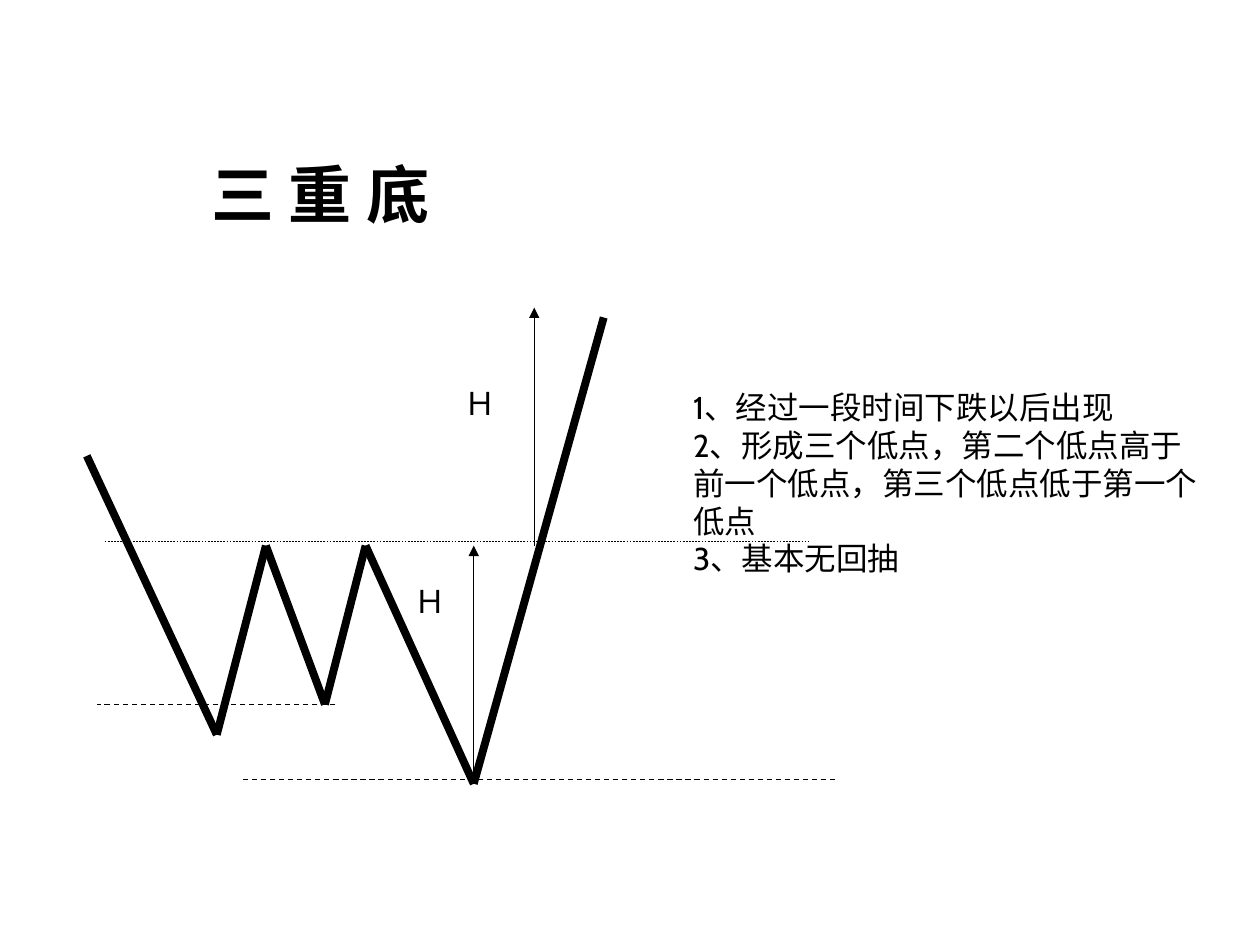
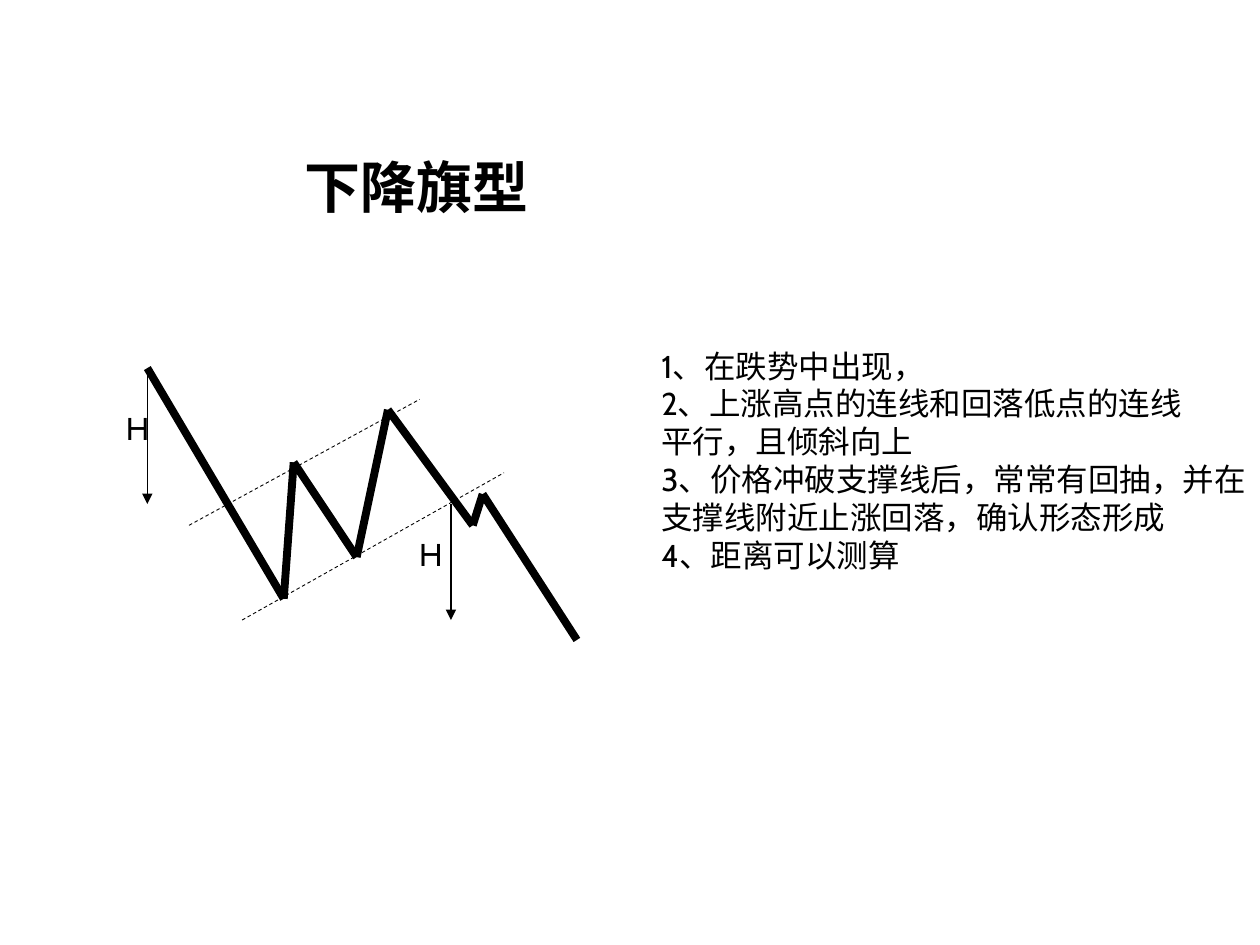
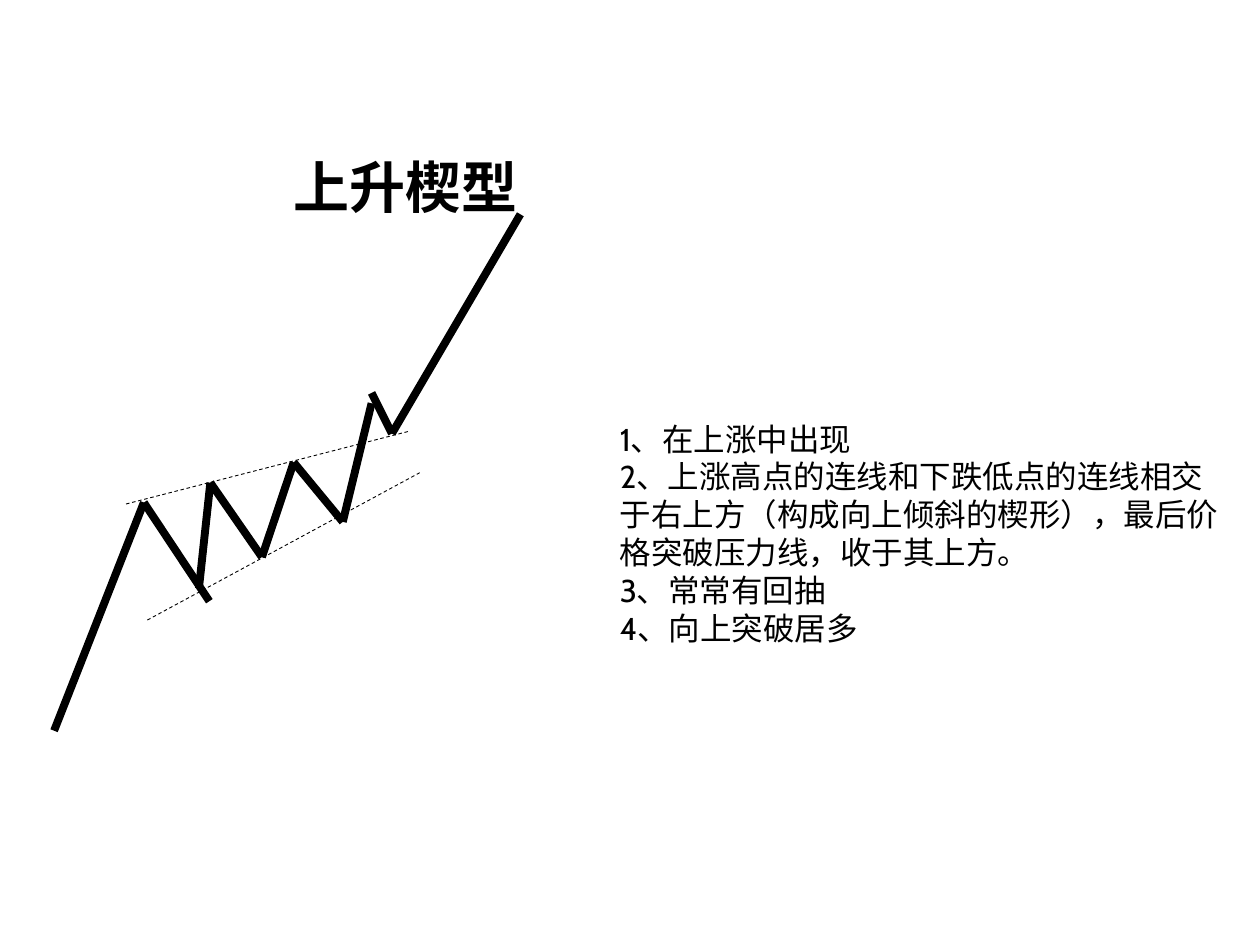
from itertools import pairwise

from lxml.etree import SubElement
from pptx import Presentation
from pptx.dml.color import RGBColor
from pptx.enum.dml import MSO_LINE
from pptx.enum.shapes import MSO_CONNECTOR
from pptx.enum.text import MSO_ANCHOR, MSO_AUTO_SIZE, PP_ALIGN
from pptx.oxml.ns import qn
from pptx.util import Cm, Pt

COLORS = {"ink": "000000", "paper": "FFFFFF"}
FONT = "Cabin"
THICK = 4.5


def color(name):
    return RGBColor.from_string(COLORS[name])


def place(shape, left, top, width, height):
    shape.left, shape.top = Cm(left), Cm(top)
    shape.width, shape.height = Cm(width), Cm(height)


def write(shape, text, size, bold=False, wrap=False):
    frame = shape.text_frame
    frame.text = text
    frame.word_wrap = wrap
    frame.auto_size = MSO_AUTO_SIZE.NONE
    frame.vertical_anchor = MSO_ANCHOR.TOP
    for para in frame.paragraphs:
        para.alignment = PP_ALIGN.LEFT
        para.space_before = Pt(0)
        for run in para.runs:
            run.font.name = FONT
            run.font.size = Pt(size)
            run.font.bold = bold
            run.font.color.rgb = color("ink")


def title(slide, text, box, size=32):
    shape = slide.shapes.title
    place(shape, *box)
    write(shape, text, size, bold=True)


def notes(slide, lines, box):
    shape = slide.placeholders[1]
    place(shape, *box)
    write(shape, "\n".join(lines), 18, wrap=True)
    for para in shape.text_frame.paragraphs:
        props = para._p.get_or_add_pPr()
        props.set("marL", "0")
        props.set("indent", "0")
        SubElement(props, qn("a:buNone"))


def label(slide, text, left, top, width):
    shape = slide.shapes.add_textbox(Cm(left), Cm(top), Cm(width), Cm(1.02))
    write(shape, text, 18)


def line(slide, start, end, width):
    ends = [Cm(value) for value in (*start, *end)]
    link = slide.shapes.add_connector(MSO_CONNECTOR.STRAIGHT, *ends)
    link.line.color.rgb = color("ink")
    link.line.width = Pt(width)
    SubElement(link._element.spPr, qn("a:effectLst"))
    return link


def trend(slide, points):
    for start, end in pairwise(points):
        line(slide, start, end, THICK)


def dash(slide, start, end, width=0.5):
    line(slide, start, end, width).line.dash_style = MSO_LINE.DASH


def arrow(slide, left, start, end):
    link = line(slide, (left, start), (left, end), 0.75)
    SubElement(link.line._get_or_add_ln(), qn("a:tailEnd"), type="triangle")


def add(deck):
    slide = deck.slides.add_slide(deck.slide_layouts[1])
    slide.background.fill.solid()
    slide.background.fill.fore_color.rgb = color("paper")
    return slide


def triple(deck):
    slide = add(deck)
    neck, low = 11, 15.8
    trend(slide, [(1.75, 9.19), (4.37, 14.81), (5.36, neck), (6.55, 14.2),
                  (7.37, neck), (9.55, low), (12.17, 6.4)])
    dash(slide, (2.11, 10.92), (16.31, 10.92), 0.25)
    dash(slide, (6.76, 14.2), (1.96, 14.2), 0.75)
    dash(slide, (4.9, 15.72), (16.89, 15.72), 0.75)
    arrow(slide, 10.77, neck, 6.2)
    arrow(slide, 9.55, low, neck)
    label(slide, "Ｈ", 8.1, 11.61, 1.14)
    label(slide, "Ｈ", 9.12, 7.62, 1.14)
    title(slide, "三 重 底", (4.01, 3, 5.08, 1.78), 36)
    notes(slide, [
        "1、经过一段时间下跌以后出现",
        "2、形成三个低点，第二个低点高于",
        "前一个低点，第三个低点低于第一个",
        "低点",
        "3、基本无回抽",
    ], (13.72, 7.7, 10.9, 4.83))


def flag(deck):
    slide = add(deck)
    title(slide, "下降旗型", (5.89, 2.95, 5.05, 1.6))
    trend(slide, [(2.97, 7.42), (5.72, 12.07), (5.92, 9.32), (7.19, 11.23),
                  (7.82, 8.26), (9.53, 10.59), (9.73, 9.96), (11.63, 12.9)])
    dash(slide, (3.81, 10.59), (8.46, 8.05))
    dash(slide, (4.88, 12.5), (10.16, 9.53))
    arrow(slide, 2.97, 7.42, 10.16)
    arrow(slide, 9.09, 10.16, 12.5)
    label(slide, "H", 2.29, 8.13, 0.94)
    label(slide, "H", 8.2, 10.67, 0.94)
    notes(slide, [
        "1、在跌势中出现，",
        "2、上涨高点的连线和回落低点的连线",
        "平行，且倾斜向上",
        "3、价格冲破支撑线后，常常有回抽，并在",
        "支撑线附近止涨回落，确认形态形成",
        "4、距离可以测算",
    ], (13.08, 6.86, 12.29, 6.35))


def wedge(deck):
    slide = add(deck)
    title(slide, "上升楔型", (5.66, 2.95, 5.05, 1.6))
    dash(slide, (2.54, 10.16), (8.26, 8.69))
    dash(slide, (2.97, 12.5), (8.46, 9.53))
    trend(slide, [(1.09, 14.73), (2.9, 10.13), (4.22, 12.12)])
    trend(slide, [(4.01, 11.86), (4.24, 9.73), (5.28, 11.23),
                  (5.92, 9.32), (6.91, 10.52), (7.49, 8.13)])
    trend(slide, [(7.49, 7.92), (7.9, 8.74), (10.49, 4.32)])
    notes(slide, [
        "1、在上涨中出现",
        "2、上涨高点的连线和下跌低点的连线相交",
        "于右上方（构成向上倾斜的楔形），最后价",
        "格突破压力线，收于其上方。",
        "3、常常有回抽",
        "4、向上突破居多",
    ], (12.24, 8.33, 12.8, 5.59))


def main():
    deck = Presentation()
    deck.slide_width, deck.slide_height = Cm(25.4), Cm(19.05)
    for build in (triple, flag, wedge):
        build(deck)
    deck.save("out.pptx")


if __name__ == "__main__":
    main()
